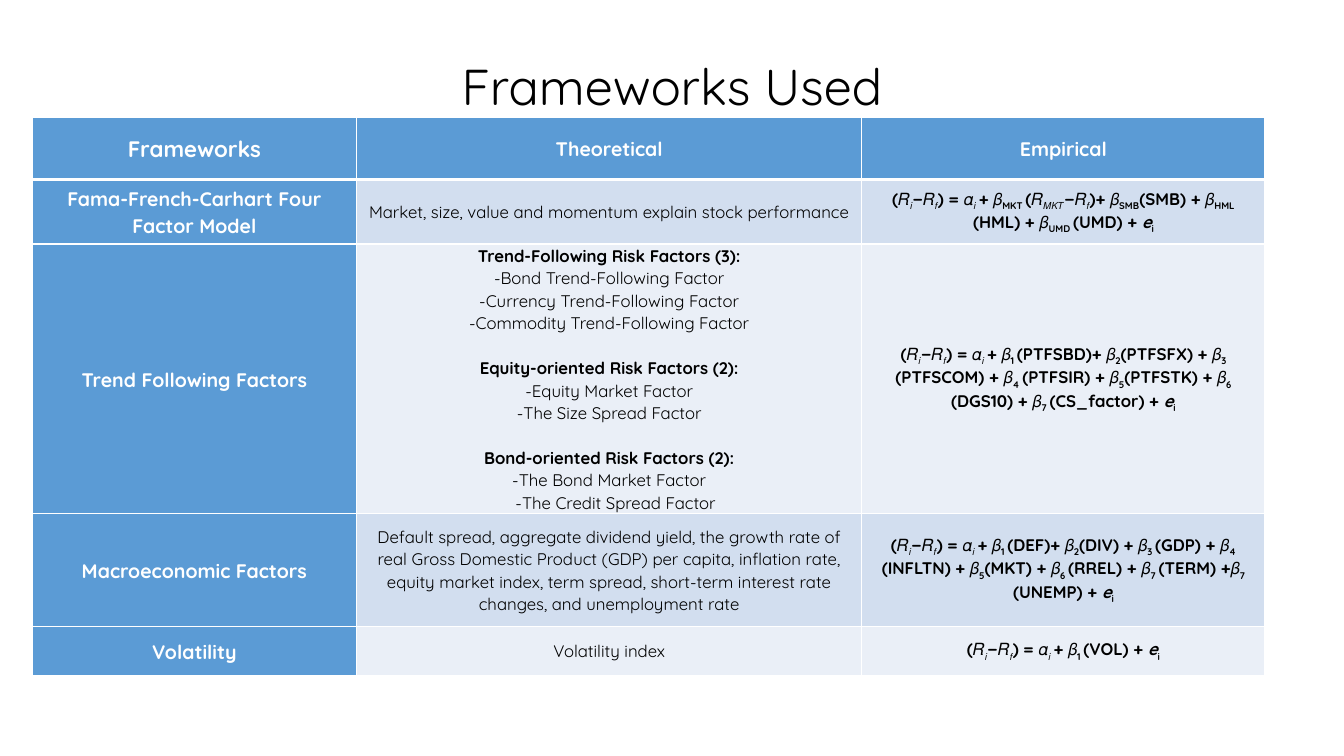
from collections import namedtuple
from dataclasses import dataclass

from lxml.etree import SubElement
from pptx import Presentation
from pptx.dml.color import RGBColor
from pptx.enum.text import MSO_ANCHOR, PP_ALIGN
from pptx.oxml.ns import qn
from pptx.util import Cm, Pt

Box = namedtuple("Box", "left top width height")


@dataclass(frozen=True)
class Theme:
    font: str = "Quicksand"
    black: str = "000000"
    white: str = "FFFFFF"
    blue: str = "5B9BD5"
    bands: tuple = ("D2DEEF", "EAEFF7")
    title: int = 36
    corner: int = 16
    heading: int = 14
    body: int = 12


THEME = Theme()

HEADINGS = ("Frameworks", "Theoretical", "Empirical")
COLUMN_WIDTHS = (8.18, 12.73, 10.16)
ROW_HEIGHTS = (1.55, 1.63, 6.78, 2.84, 1.24)
EXCESS_RETURN = "(𝑅{𝑖}−𝑅{𝑓}) = 𝛼{𝑖 }+ "

RISK_FACTORS = {
    "Trend-Following Risk Factors (3):": (
        "-Bond Trend-Following Factor",
        "-Currency Trend-Following Factor",
        "-Commodity Trend-Following Factor",
    ),
    "Equity-oriented Risk Factors (2):": (
        "-Equity Market Factor",
        "-The Size Spread Factor",
    ),
    "Bond-oriented Risk Factors (2):": (
        "-The Bond Market Factor",
        "-The Credit Spread Factor",
    ),
}

FRAMEWORKS = (
    (
        "Fama-French-Carhart Four Factor Model",
        "Market, size, value and momentum explain stock performance",
        "𝛽{MKT }(𝑅{𝑀𝐾𝑇}−𝑅{𝑓})+ 𝛽{SMB}(SMB) + 𝛽{HML }(HML) + 𝛽{UMD }(UMD) + ",
    ),
    (
        "Trend Following Factors",
        RISK_FACTORS,
        "𝛽{1 }(PTFSBD)+ 𝛽{2}(PTFSFX) + 𝛽{3 }(PTFSCOM) + 𝛽{4 }(PTFSIR) + "
        "𝛽{5}(PTFSTK) + 𝛽{6 }(DGS10) + 𝛽{7 }(CS_factor) + ",
    ),
    (
        "Macroeconomic Factors",
        "Default spread, aggregate dividend yield, the growth rate of real Gross "
        "Domestic Product (GDP) per capita, inflation rate, equity market index, "
        "term spread, short-term interest rate changes, and unemployment rate",
        "𝛽{1 }(DEF)+ 𝛽{2}(DIV) + 𝛽{3 }(GDP) + 𝛽{4 }(INFLTN) + 𝛽{5}(MKT) + "
        "𝛽{6 }(RREL) + 𝛽{7 }(TERM) +𝛽{7 }(UNEMP) + ",
    ),
    ("Volatility", "Volatility index", "𝛽{1 }(VOL) + "),
)


def format_paragraph(paragraph, size, color, bold, spacing=1.07):
    paragraph.alignment = PP_ALIGN.CENTER
    paragraph.line_spacing = spacing
    for span in paragraph.runs:
        span.font.name = THEME.font
        span.font.size = Pt(size)
        span.font.bold = bold
        span.font.color.rgb = RGBColor.from_string(color)


def write_text(cell, text, size, color, bold):
    cell.text_frame.text = text
    format_paragraph(cell.text_frame.paragraphs[0], size, color, bold)


def write_risk_factors(cell, groups):
    lines = [line for head, factors in groups.items() for line in (head, *factors)]
    cell.text_frame.text = "\n".join(lines)
    for index, paragraph in enumerate(cell.text_frame.paragraphs):
        is_head = lines[index] in groups
        format_paragraph(paragraph, THEME.body, THEME.black, is_head)
        if is_head and index:
            paragraph.space_before = Pt(16)
    paragraph._p.get_or_add_pPr().set("marL", str(Cm(0.32)))


def write_formula(cell, terms):
    paragraph = cell.text_frame.paragraphs[0]
    pieces = (EXCESS_RETURN + terms).replace("}", "{").split("{")
    spans = [(piece, index % 2 == 1, False) for index, piece in enumerate(pieces)]
    spans += [("e", False, True), ("i", True, False)]
    for text, is_subscript, is_italic in spans:
        span = paragraph.add_run()
        span.text = text
        span.font.italic = is_italic
        if is_subscript:
            span.font._element.set("baseline", "-25000")
    format_paragraph(paragraph, THEME.body, THEME.black, True, 1.0)


def style_cell(cell, fill, top, bottom):
    cell.vertical_anchor = MSO_ANCHOR.MIDDLE
    cell.margin_left = cell.margin_right = Cm(0.18)
    cell.margin_top = cell.margin_bottom = 0
    properties = cell._tc.get_or_add_tcPr()
    for side, width in (("L", 1), ("R", 1), ("T", top), ("B", bottom)):
        line = SubElement(properties, qn(f"a:ln{side}"), w=str(Pt(width)))
        SubElement(SubElement(line, qn("a:solidFill")), qn("a:srgbClr"), val=THEME.white)
    cell.fill.solid()
    cell.fill.fore_color.rgb = RGBColor.from_string(fill)


def add_title(page, box):
    title = page.shapes.title
    title.left, title.top, title.width, title.height = box
    title.text_frame.text = "Frameworks Used"
    title.text_frame.vertical_anchor = MSO_ANCHOR.MIDDLE
    format_paragraph(title.text_frame.paragraphs[0], THEME.title, THEME.black, False, 0.9)


def add_frameworks_table(page, box):
    table = page.shapes.add_table(len(ROW_HEIGHTS), len(COLUMN_WIDTHS), *box).table
    table.first_row = table.horz_banding = False
    for column, width in zip(table.columns, COLUMN_WIDTHS):
        column.width = Cm(width)
    for row, height in zip(table.rows, ROW_HEIGHTS):
        row.height = Cm(height)

    for index, heading in enumerate(HEADINGS):
        size = THEME.heading if index else THEME.corner
        write_text(table.cell(0, index), heading, size, THEME.white, True)
        style_cell(table.cell(0, index), THEME.blue, 1, 3)

    for row, (name, theory, terms) in enumerate(FRAMEWORKS, start=1):
        label, theoretical, empirical = (table.cell(row, column) for column in range(3))
        write_text(label, name, THEME.heading, THEME.white, True)
        if isinstance(theory, dict):
            write_risk_factors(theoretical, theory)
        else:
            write_text(theoretical, theory, THEME.body, THEME.black, False)
        write_formula(empirical, terms)
        band = THEME.bands[(row - 1) % 2]
        for cell, fill in ((label, THEME.blue), (theoretical, band), (empirical, band)):
            style_cell(cell, fill, 3 if row == 1 else 1, 1)


deck = Presentation()
deck.slide_width, deck.slide_height = Cm(33.87), Cm(19.05)
page = deck.slides.add_slide(deck.slide_layouts[5])
add_title(page, Box(Cm(2.33), Cm(0.41), Cm(29.21), Cm(3.68)))
add_frameworks_table(
    page, Box(Cm(0.81), Cm(2.97), Cm(sum(COLUMN_WIDTHS)), Cm(sum(ROW_HEIGHTS)))
)
deck.save("out.pptx")
